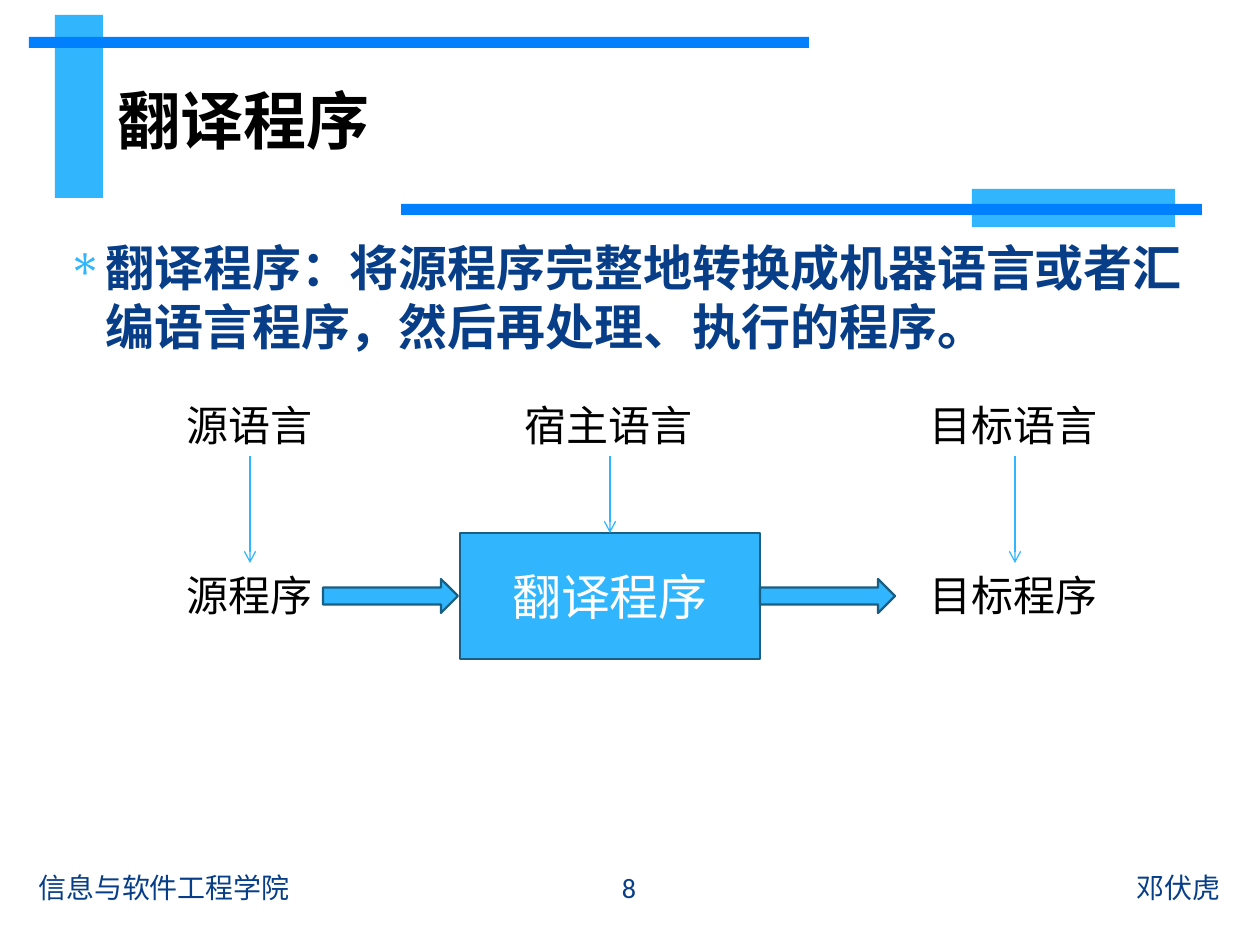
from lxml import etree
from pptx import Presentation
from pptx.dml.color import RGBColor
from pptx.enum.shapes import MSO_CONNECTOR, MSO_SHAPE
from pptx.enum.text import MSO_ANCHOR, MSO_AUTO_SIZE, PP_ALIGN
from pptx.oxml.ns import qn
from pptx.util import Pt

PX = 914400 / 126
SKY = RGBColor(0x31, 0xB6, 0xFD)
BLUE = RGBColor(0x00, 0x80, 0xFF)
NAVY = RGBColor(0x07, 0x3E, 0x87)
OUTLINE = RGBColor(0x19, 0x5F, 0x84)
BLACK = RGBColor(0x00, 0x00, 0x00)
WHITE = RGBColor(0xFF, 0xFF, 0xFF)
RECTANGLE, RIGHT_ARROW = MSO_SHAPE.RECTANGLE, MSO_SHAPE.RIGHT_ARROW
STRAIGHT = MSO_CONNECTOR.STRAIGHT
LEFT, CENTER, RIGHT = PP_ALIGN.LEFT, PP_ALIGN.CENTER, PP_ALIGN.RIGHT
TOP, MIDDLE = MSO_ANCHOR.TOP, MSO_ANCHOR.MIDDLE
GROW = MSO_AUTO_SIZE.SHAPE_TO_FIT_TEXT
SIDE_TOP, SIDE_BOTTOM = 0, 2


def emu(*lengths):
    return [round(length * PX) for length in lengths]


def write(shape, text, size, color, font="Calibri", bold=False,
          align=LEFT, anchor=TOP, wrap=True, bullet=None, indent=0):
    frame = shape.text_frame
    frame.word_wrap = wrap
    frame.vertical_anchor = anchor
    paragraph = frame.paragraphs[0]
    paragraph.alignment = align
    if bullet:
        properties = paragraph._p.get_or_add_pPr()
        margin = emu(indent)[0]
        properties.set("marL", str(margin))
        properties.set("indent", str(-margin))
        bullet_color = etree.SubElement(properties, qn("a:buClr"))
        etree.SubElement(bullet_color, qn("a:srgbClr"), val=str(SKY))
        etree.SubElement(properties, qn("a:buChar"), char=bullet)
    run = paragraph.add_run()
    run.text = text
    run.font.name = font
    run.font.size = Pt(size)
    run.font.bold = bold
    run.font.color.rgb = color


def add_text(slide, box, text, size, color, **options):
    shape = slide.shapes.add_textbox(*emu(*box))
    write(shape, text, size, color, **options)
    return shape


def add_block(slide, kind, box, fill, line=None):
    shape = slide.shapes.add_shape(kind, *emu(*box))
    shape.shadow.inherit = False
    shape.fill.solid()
    shape.fill.fore_color.rgb = fill
    if line is None:
        shape.line.fill.background()
    else:
        shape.line.color.rgb = line
        shape.line.width = Pt(1.25)
    return shape


def add_arrow(slide, upper, lower):
    """Join the bottom of one shape to the top of another."""
    connector = slide.shapes.add_connector(STRAIGHT, 0, 0, 0, 0)
    connector.begin_connect(upper, SIDE_BOTTOM)
    connector.end_connect(lower, SIDE_TOP)
    connector.line.color.rgb = SKY
    connector.line.width = Pt(0.75)
    etree.SubElement(connector.line._get_or_add_ln(), qn("a:tailEnd"), type="arrow")
    etree.SubElement(connector._element.spPr, qn("a:effectLst"))


def add_header(slide, left, top, title_text):
    # Crossed bars, each thin one over a thick one
    bars = [(26, 0, 48, 183, SKY), (0, 22, 780, 11, BLUE),
            (943, 174, 203, 38, SKY), (372, 189, 801, 11, BLUE)]
    for x, y, width, height, color in bars:
        add_block(slide, RECTANGLE, (left + x, top + y, width, height), color)

    title = slide.shapes.title
    title.left, title.top, title.width, title.height = emu(left + 76, top + 40, 973, 129)
    write(title, title_text, 36, BLACK, font="Arial", bold=True, anchor=MIDDLE)


def add_label(slide, center, top, text):
    width, height = 23 + 43 * len(text), 63
    label = add_text(slide, (center - width / 2, top, width, height),
                     text, 24, BLACK, wrap=False)
    label.text_frame.auto_size = GROW
    return label


def add_diagram(slide, left, top):
    source_x, host_x, target_x = left + 76, left + 436, left + 841
    program_top = top + 170
    box_width, box_height = 300, 126
    box_left, box_top = host_x - box_width / 2, top + 140

    # Translator in the middle
    translator = add_block(slide, RECTANGLE, (box_left, box_top, box_width, box_height),
                           SKY, OUTLINE)
    write(translator, "翻译程序", 28, WHITE, align=CENTER, anchor=MIDDLE)

    # Each language points down to its program
    columns = [(source_x, "源语言", add_label(slide, source_x, program_top, "源程序")),
               (host_x, "宿主语言", translator),
               (target_x, "目标语言", add_label(slide, target_x, program_top, "目标程序"))]
    for center, language, program in columns:
        add_arrow(slide, add_label(slide, center, top, language), program)

    # Block arrows into and out of the translator
    arrow_width, arrow_height = 135, 34
    arrow_top = box_top + (box_height - arrow_height) / 2
    for arrow_left in (box_left - arrow_width - 2, box_left + box_width):
        add_block(slide, RIGHT_ARROW, (arrow_left, arrow_top, arrow_width, arrow_height),
                  SKY, OUTLINE)


def add_footer(slide, left, top):
    parts = [(0, 522, "信息与软件工程学院", LEFT),
             (523, 160, "8", CENTER),
             (685, 522, "邓伏虎", RIGHT)]
    for x, width, text, align in parts:
        add_text(slide, (left + x, top, width, 50), text, 16, NAVY,
                 align=align, anchor=MIDDLE)


def main():
    presentation = Presentation()
    presentation.slide_width, presentation.slide_height = emu(1260, 945)
    slide = presentation.slides.add_slide(presentation.slide_layouts[5])

    add_header(slide, 29, 15, "翻译程序")
    add_text(slide, (55, 231, 1147, 129),
             "翻译程序：将源程序完整地转换成机器语言或者汇编语言程序，然后再处理、执行的程序。",
             28, NAVY, bold=True, bullet="∗", indent=38)
    add_diagram(slide, 174, 393)
    add_footer(slide, 26, 862)
    presentation.save("out.pptx")


if __name__ == "__main__":
    main()
